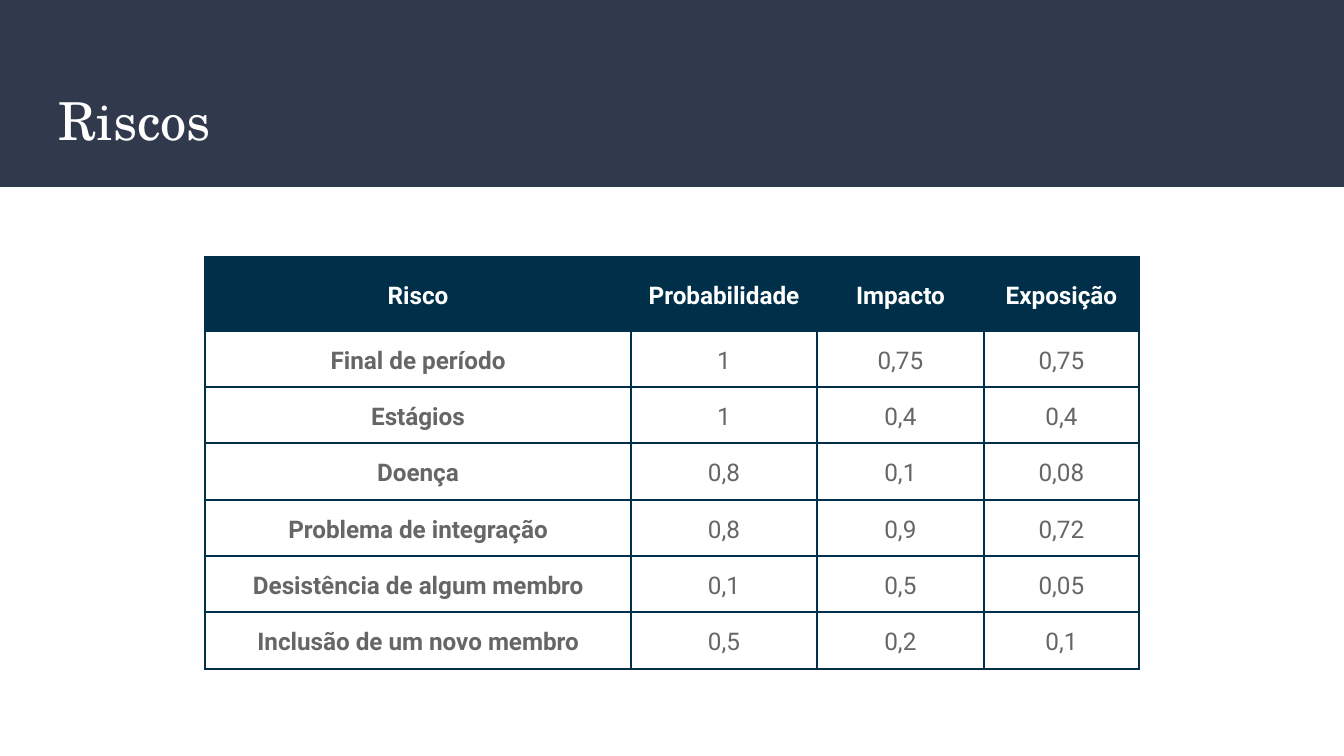
"""Builds the project risk slide with its exposure table."""
from dataclasses import dataclass

from lxml import etree
from pptx import Presentation
from pptx.dml.color import RGBColor
from pptx.enum.shapes import MSO_SHAPE
from pptx.enum.text import MSO_ANCHOR, PP_ALIGN
from pptx.oxml.ns import qn
from pptx.util import Emu, Pt

RECTANGLE = MSO_SHAPE.RECTANGLE
MIDDLE = MSO_ANCHOR.MIDDLE
LEFT, CENTER = PP_ALIGN.LEFT, PP_ALIGN.CENTER
EMU_PER_PX = 914400 / 134.4


def px(length):
    return Emu(round(length * EMU_PER_PX))


@dataclass(frozen=True)
class Theme:
    band: str = "31394D"
    navy: str = "002F4A"
    white: str = "FFFFFF"
    grey: str = "666666"
    title_font: str = "TeX Gyre Schola"
    body_font: str = "Roboto"
    title_size: int = 28
    body_size: int = 13
    border: float = 1.5
    line_spacing: float = 1.15


class SlideBuilder:
    def __init__(self, slide, theme):
        self.slide = slide
        self.theme = theme

    def band(self, left, top, width, height):
        band = self.slide.shapes.add_shape(
            RECTANGLE, px(left), px(top), px(width), px(height))
        band.shadow.inherit = False
        band.fill.solid()
        band.fill.fore_color.rgb = RGBColor.from_string(self.theme.band)
        band.line.fill.background()

    def run(self, paragraph, text, font, size, color, bold=False):
        run = paragraph.add_run()
        run.text = text
        run.font.name = font
        run.font.size = Pt(size)
        run.font.bold = bold
        run.font.color.rgb = RGBColor.from_string(color)

    def title(self, text, left, top, width, height):
        frame = self.slide.shapes.add_textbox(
            px(left), px(top), px(width), px(height)).text_frame
        frame.word_wrap = True
        frame.vertical_anchor = MIDDLE
        frame.margin_left = frame.margin_right = px(13)
        frame.margin_top = frame.margin_bottom = px(13)
        heading = frame.paragraphs[0]
        heading.alignment = LEFT
        self.run(heading, text, self.theme.title_font,
                 self.theme.title_size, self.theme.white)

    def borders(self, cell):
        properties = cell._tc.get_or_add_tcPr()
        for position, side in enumerate(("a:lnL", "a:lnR", "a:lnT", "a:lnB")):
            line = etree.Element(qn(side), w=str(Pt(self.theme.border)))
            fill = etree.SubElement(line, qn("a:solidFill"))
            etree.SubElement(fill, qn("a:srgbClr"), val=self.theme.navy)
            properties.insert(position, line)

    def cell(self, cell, text, is_header, bold):
        theme = self.theme
        if is_header:
            cell.fill.solid()
            cell.fill.fore_color.rgb = RGBColor.from_string(theme.navy)
        else:
            cell.fill.background()
        self.borders(cell)
        cell.vertical_anchor = MIDDLE
        cell.margin_left = cell.margin_right = px(4)
        cell.margin_top = cell.margin_bottom = px(3)
        paragraph = cell.text_frame.paragraphs[0]
        paragraph.alignment = CENTER
        paragraph.line_spacing = theme.line_spacing
        self.run(paragraph, text, theme.body_font, theme.body_size,
                 theme.white if is_header else theme.grey, bold)

    def table(self, rows, left, top, widths, heights):
        table = self.slide.shapes.add_table(
            len(rows), len(widths), px(left), px(top),
            px(sum(widths)), px(sum(heights))).table
        table.horz_banding = False
        for column, width in zip(table.columns, widths):
            column.width = px(width)
        for row, height in zip(table.rows, heights):
            row.height = px(height)
        for r, values in enumerate(rows):
            for c, value in enumerate(values):
                self.cell(table.cell(r, c), value, r == 0, r == 0 or c == 0)


RISKS = [
    ("Risco", "Probabilidade", "Impacto", "Exposição"),
    ("Final de período", "1", "0,75", "0,75"),
    ("Estágios", "1", "0,4", "0,4"),
    ("Doença", "0,8", "0,1", "0,08"),
    ("Problema de integração", "0,8", "0,9", "0,72"),
    ("Desistência de algum membro", "0,1", "0,5", "0,05"),
    ("Inclusão de um novo membro", "0,5", "0,2", "0,1"),
]
COLUMN_WIDTHS = [426, 186, 167, 155]
HEADER_HEIGHT, BODY_HEIGHT = 74, 338


def main():
    deck = Presentation()
    deck.slide_width, deck.slide_height = px(1344), px(756)
    builder = SlideBuilder(deck.slides.add_slide(deck.slide_layouts[6]), Theme())
    builder.band(0, 0, 1344, 187)
    builder.title("Riscos", 46, 74, 1252, 91)
    count = len(RISKS) - 1
    edges = [BODY_HEIGHT * i // count for i in range(count + 1)]
    body = [lower - upper for upper, lower in zip(edges, edges[1:])]
    builder.table(RISKS, 205, 257, COLUMN_WIDTHS, [HEADER_HEIGHT] + body)
    deck.save("out.pptx")


if __name__ == "__main__":
    main()
